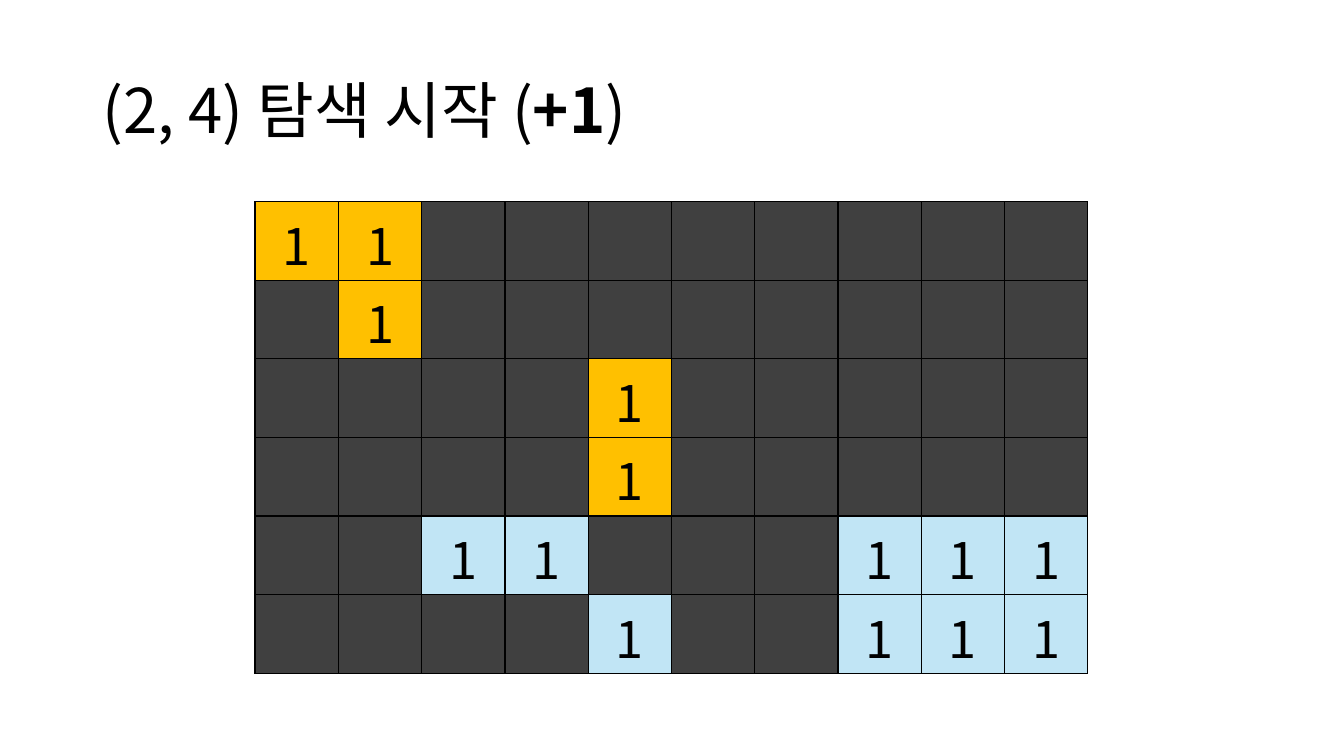
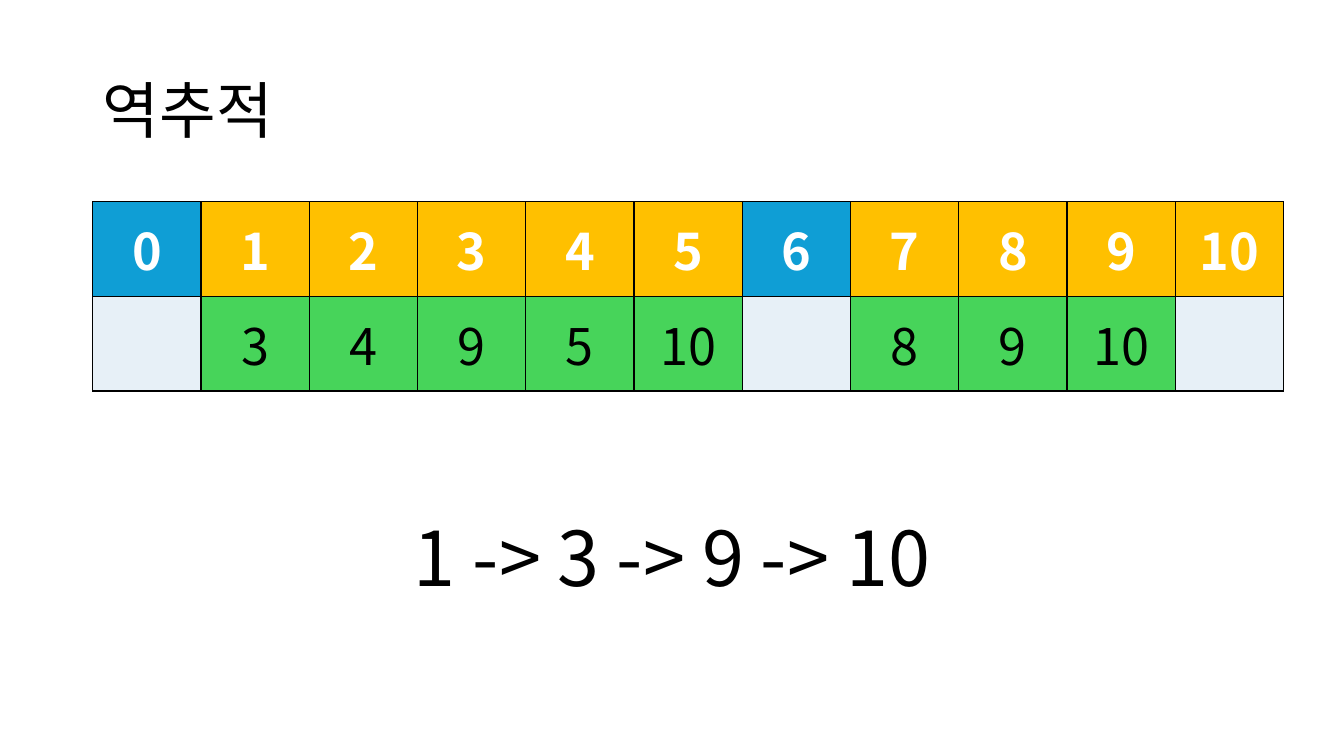
from lxml.etree import SubElement
from pptx import Presentation
from pptx.dml.color import RGBColor
from pptx.enum.text import MSO_ANCHOR as Anchor, PP_ALIGN as Align
from pptx.oxml import parse_xml
from pptx.oxml.ns import nsdecls, qn
from pptx.util import Inches, Pt

# Shared colours
BLACK, WHITE = "000000", "FFFFFF"
AMBER, DARK, SKY = "FFC000", "404040", "C1E5F5"
BLUE, GREEN, PALE = "0F9ED5", "47D45A", "E7F0F7"


def color(value):
    return RGBColor.from_string(value)


def add_text(para, text, size=36, fill=BLACK, bold=False, font="Noto Sans CJK KR"):
    span = para.add_run()
    span.text = text
    span.font.name = font
    span.font.size = Pt(size)
    span.font.bold = bold
    span.font.color.rgb = color(fill)
    # East Asian glyphs need the font named separately
    SubElement(span.font._element, qn("a:ea"), typeface=font)


class SlideWriter:
    """Holds the deck style and the current page."""

    def __init__(self):
        self.deck = Presentation()
        self.deck.slide_width = Inches(13.33)
        self.deck.slide_height = Inches(7.5)
        self.page = None

    def new_page(self, *title):
        """Start a page; title parts alternate between regular and bold."""
        self.page = self.deck.slides.add_slide(self.deck.slide_layouts[6])
        para = self.text_box(0.92, 0.4, 11.5, 1.45, anchor=Anchor.MIDDLE)
        para.line_spacing = 0.9
        for index, part in enumerate(title):
            add_text(para, part, size=44, bold=index % 2 == 1)

    def text_box(self, left, top, width, height, anchor=Anchor.TOP,
                 align=Align.LEFT, wrap=True):
        box = self.page.shapes.add_textbox(
            Inches(left), Inches(top), Inches(width), Inches(height))
        box.text_frame.word_wrap = wrap
        box.text_frame.vertical_anchor = anchor
        para = box.text_frame.paragraphs[0]
        para.alignment = align
        return para

    def table(self, left, top, width, row_height, rows):
        """Draw rows of (text, fill, text format) in equal columns."""
        count = len(rows[0])
        table = self.page.shapes.add_table(
            len(rows), count, Inches(left), Inches(top),
            Inches(width), Inches(row_height * len(rows))).table
        table.first_row = table.horz_banding = False
        for column in table.columns:
            column.width = Inches(width / count)
        for row_index, row in enumerate(rows):
            for column_index, (text, fill, style) in enumerate(row):
                self.cell(table.cell(row_index, column_index), text, fill, style)

    def cell(self, cell, text, fill, style):
        cell.fill.solid()
        cell.fill.fore_color.rgb = color(fill)
        cell.vertical_anchor = Anchor.MIDDLE
        para = cell.text_frame.paragraphs[0]
        para.alignment = Align.CENTER
        if text:
            add_text(para, text, **style)
        # Borders come before the fill in the cell properties
        properties = cell._tc.get_or_add_tcPr()
        for index, side in enumerate("LRTB"):
            properties.insert(index, parse_xml(
                f'<a:ln{side} {nsdecls("a")} w="{Pt(1)}"><a:solidFill>'
                f'<a:srgbClr val="{BLACK}"/></a:solidFill></a:ln{side}>'))


def build_search(writer):
    writer.new_page("(2, 4) 탐색 시작 (", "+1", ")")
    # v: visited land, o: land still to visit, dot: empty
    grid = ["vv........",
            ".v........",
            "....v.....",
            "....v.....",
            "..oo...ooo",
            "....o..ooo"]
    kinds = {"v": ("1", AMBER, {}), "o": ("1", SKY, {}), ".": ("", DARK, {})}
    writer.table(2.53, 2, 8.26, 0.78, [[kinds[mark] for mark in line] for line in grid])


def build_backtrack(writer):
    writer.new_page("역추적")
    # Each node and the next node on its route
    next_nodes = {1: 3, 2: 4, 3: 9, 4: 5, 5: 10, 7: 8, 8: 9, 9: 10}
    unused = (0, 6)
    heading = {"fill": WHITE, "bold": True}
    nodes = range(11)
    header = [(str(node), BLUE if node in unused else AMBER, heading) for node in nodes]
    links = [(str(next_nodes[node]), GREEN, {}) if node in next_nodes else ("", PALE, {})
             for node in nodes]
    writer.table(0.92, 2, 11.81, 0.94, [header, links])

    # Resulting route
    route = [1]
    while route[-1] in next_nodes:
        route.append(next_nodes[route[-1]])
    para = writer.text_box(3.46, 5.02, 6.41, 1.01, align=Align.CENTER, wrap=False)
    add_text(para, " -> ".join(map(str, route)), size=54)


def main():
    writer = SlideWriter()
    build_search(writer)
    build_backtrack(writer)
    writer.deck.save("out.pptx")


if __name__ == "__main__":
    main()
